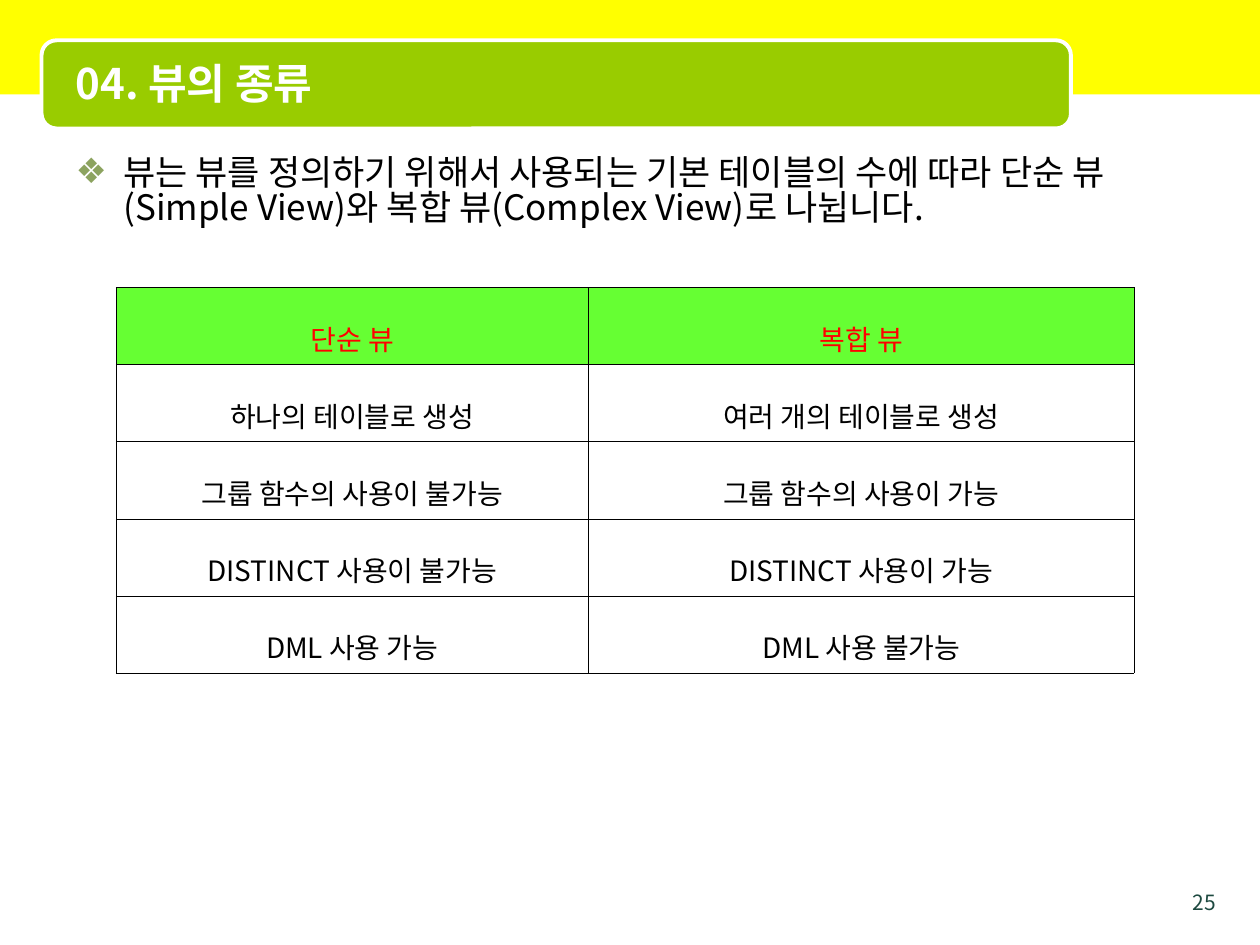
import pptx
import pptx.util
import pptx.dml.color
import pptx.enum.shapes
import pptx.enum.text
import pptx.oxml
import pptx.oxml.ns
from lxml import etree

Inches, Pt = pptx.util.Inches, pptx.util.Pt
SHAPE = pptx.enum.shapes.MSO_SHAPE
ALIGN = pptx.enum.text.PP_ALIGN
ANCHOR = pptx.enum.text.MSO_ANCHOR
qn = pptx.oxml.ns.qn

FONT = "Noto Sans CJK KR"
COLORS = {
    "band": "FFFF00", "banner": "99CC00", "white": "FFFFFF", "black": "000000",
    "number": "1D4940", "bullet": "8CA35F", "header": "66FF33", "header_text": "FF0000",
}
TITLE = "04. 뷰의 종류"
BODY = ("뷰는 뷰를 정의하기 위해서 사용되는 기본 테이블의 수에 따라 단순 뷰(Simple View)와 "
        "복합 뷰(Complex View)로 나뉩니다.")
NUMBER = "25"
VIEWS = [
    ("단순 뷰", "복합 뷰"),
    ("하나의 테이블로 생성", "여러 개의 테이블로 생성"),
    ("그룹 함수의 사용이 불가능", "그룹 함수의 사용이 가능"),
    ("DISTINCT 사용이 불가능", "DISTINCT 사용이 가능"),
    ("DML 사용 가능", "DML 사용 불가능"),
]
COLUMNS = (3.75, 4.33)
ROW_HEIGHT = 0.61


def rgb(name):
    return pptx.dml.color.RGBColor.from_string(COLORS[name])


def apply(target, formats):
    for key, value in formats.items():
        setattr(target, key, value)


def place(shape, left, top, width, height):
    apply(shape, {"left": Inches(left), "top": Inches(top),
                  "width": Inches(width), "height": Inches(height)})


def write(frame, text, size, color, bold=False, **formats):
    para = frame.paragraphs[0]
    apply(para, formats)
    span = para.add_run()
    span.text = text
    apply(span.font, {"name": FONT, "size": Pt(size), "bold": bold})
    span.font.color.rgb = rgb(color)
    return para


def add_banner(page, kind, bounds, color):
    shape = page.shapes.add_shape(kind, *map(Inches, bounds))
    shape.shadow.inherit = False
    shape.fill.solid()
    shape.fill.fore_color.rgb = rgb(color)
    page.shapes.title.element.addprevious(shape.element)
    return shape


def add_bullet(para, char):
    props = para._p.get_or_add_pPr()
    props.set("marL", str(Inches(0.38)))
    props.set("indent", str(Inches(-0.38)))
    color = etree.SubElement(props, qn("a:buClr"))
    etree.SubElement(color, qn("a:srgbClr"), val=COLORS["bullet"])
    etree.SubElement(props, qn("a:buChar"), char=char)


def add_borders(cell):
    props = cell._tc.get_or_add_tcPr()
    for position, side in enumerate(("lnL", "lnR", "lnT", "lnB")):
        line = pptx.oxml.parse_xml(
            f'<a:{side} {pptx.oxml.ns.nsdecls("a")} w="{Pt(0.11)}"><a:solidFill>'
            f'<a:srgbClr val="{COLORS["black"]}"/></a:solidFill></a:{side}>')
        props.insert(position, line)


def add_view_table(page):
    table = page.shapes.add_table(
        len(VIEWS), len(COLUMNS), Inches(0.92), Inches(2.28),
        Inches(sum(COLUMNS)), Inches(ROW_HEIGHT * len(VIEWS))).table
    apply(table, {"first_row": False, "horz_banding": False})
    for column, width in zip(table.columns, COLUMNS):
        column.width = Inches(width)
    for index, texts in enumerate(VIEWS):
        table.rows[index].height = Inches(ROW_HEIGHT)
        for cell, text in zip(table.rows[index].cells, texts):
            apply(cell, {"margin_left": Inches(0.02), "margin_right": Inches(0.02),
                         "vertical_anchor": ANCHOR.MIDDLE})
            if index == 0:
                cell.fill.solid()
                cell.fill.fore_color.rgb = rgb("header")
            else:
                cell.fill.background()
            add_borders(cell)
            write(cell.text_frame, text, 16, "black" if index else "header_text",
                  alignment=ALIGN.CENTER, line_spacing=1.6)


def main():
    deck = pptx.Presentation()
    apply(deck, {"slide_width": Inches(10), "slide_height": Inches(7.5)})
    page = deck.slides.add_slide(deck.slide_layouts[1])

    add_banner(page, SHAPE.RECTANGLE, (0, 0, 10, 0.75), "band").line.fill.background()
    banner = add_banner(page, SHAPE.ROUNDED_RECTANGLE, (0.33, 0.32, 8.17, 0.7), "banner")
    banner.adjustments[0] = 0.17
    banner.line.color.rgb = rgb("white")
    banner.line.width = Pt(2.25)

    title = page.shapes.title
    place(title, 0.5, 0.35, 7.92, 0.62)
    apply(title.text_frame, {"auto_size": pptx.enum.text.MSO_AUTO_SIZE.NONE,
                             "vertical_anchor": ANCHOR.MIDDLE})
    write(title.text_frame, TITLE, 24, "white", bold=True, alignment=ALIGN.LEFT)

    body = page.placeholders[1]
    place(body, 0.5, 1.2, 9, 6.12)
    body.text_frame.auto_size = pptx.enum.text.MSO_AUTO_SIZE.NONE
    para = write(body.text_frame, BODY, 20, "black", line_spacing=0.83, space_before=Pt(0))
    add_bullet(para, "❖")

    add_view_table(page)

    number = page.shapes.add_textbox(*map(Inches, (9.25, 7.04, 0.5, 0.28)))
    apply(number.text_frame, {"word_wrap": True, "margin_top": Inches(0.02),
                              "margin_bottom": 0})
    write(number.text_frame, NUMBER, 12, "number", alignment=ALIGN.RIGHT)

    for latin in list(page.element.iter(qn("a:latin"))):
        latin.addnext(latin.makeelement(qn("a:ea"), {"typeface": FONT}))
    deck.save("out.pptx")


if __name__ == "__main__":
    main()
